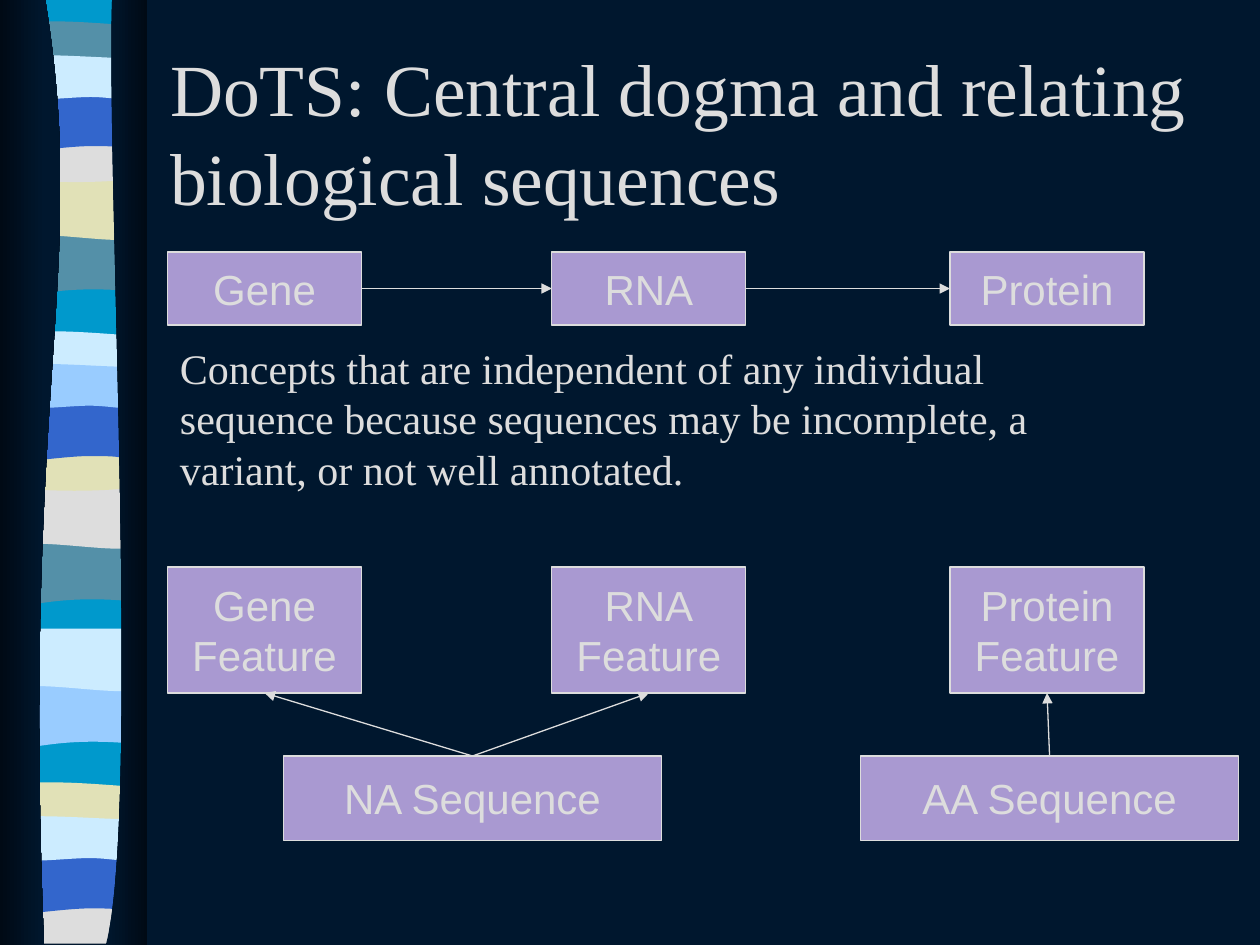
from typing import NamedTuple

from lxml import etree
from pptx import Presentation
from pptx.dml.color import RGBColor
from pptx.enum.shapes import MSO_CONNECTOR, MSO_SHAPE
from pptx.enum.text import MSO_ANCHOR, MSO_AUTO_SIZE, PP_ALIGN
from pptx.oxml.ns import qn
from pptx.util import Inches, Pt

RECT = MSO_SHAPE.RECTANGLE
STRAIGHT = MSO_CONNECTOR.STRAIGHT
MIDDLE, TOP = MSO_ANCHOR.MIDDLE, MSO_ANCHOR.TOP
LEFT, CENTER = PP_ALIGN.LEFT, PP_ALIGN.CENTER
NO_FIT = MSO_AUTO_SIZE.NONE

NAVY, BLACK_NAVY = "00172E", "000A15"
GREY, LILAC = "DDDDDD", "A999D1"
CYAN, TEAL, SAND = "0099CC", "5490A8", "E1E1B7"
ICE, SKY, BLUE = "CCECFF", "99CCFF", "3366CC"
SERIF, SANS = "Times New Roman", "Arial"

# Outlines: a start point, then lines (2 numbers) and cubic curves (6 numbers)
SAG_TOP = [(0, 0), (0.66, 0.05, 0.85, 0, 1.08, 0)]
MOTIFS = {
    "dip": [(1.08, 0), (1.08, 0.47), (0.33, 0.39, 0.18, 0.55, 0, 0.47), (0, 0)],
    "swell": [(1.08, 0), (1.08, 0.47), (0.9, 0.55, 0.33, 0.41, 0, 0.47), (0, 0)],
    "arch": [(1.08, 0.05), (1.08, 0.29), (0.9, 0.33, 0.18, 0.33, 0, 0.29), (0, 0.05),
             (0.06, 0, 0.23, 0.01, 0.41, 0.01), (0.59, 0.01, 0.94, 0.04, 1.08, 0.05)],
    "sag": [(1.08, 0), (1.08, 0.32), (0.9, 0.38, 0.18, 0.38, 0, 0.32), *SAG_TOP],
    "hump": [(1.08, 0), (1.08, 0.47), (0.91, 0.42, 0.84, 0.42, 0.66, 0.42),
             (0.48, 0.42, 0.16, 0.47, 0, 0.47), (0, 0)],
    "drift": [(1.08, 0.05), (1.08, 0.36), (1.01, 0.41, 0.84, 0.36, 0.66, 0.36),
              (0.48, 0.36, 0.11, 0.41, 0, 0.36), (0, 0.05),
              (0.15, 0, 0.73, 0.05, 0.91, 0.05), (1.09, 0.05, 1.04, 0.05, 1.08, 0.05)],
    "foot": [(1.08, 0), (1.08, 0.37), (0, 0.37), *SAG_TOP],
}
LEFT_SHADE = [(0.36, 0), (0.71, 2.16, 0.17, 2.96, 0.35, 7.5), (0, 7.5), (0, 0)]
RIGHT_SHADE = [(0.89, 0), (0.84, 1.25, 1.12, 6.46, 0.84, 7.5), (1.17, 7.5), (1.17, 0)]


class Band(NamedTuple):
    motif: str
    x: float
    y: float
    color: str


class Box(NamedTuple):
    lines: list
    x: float
    y: float
    w: float
    h: float


# Back to front
BANDS = [
    Band("dip", 0.06, 1.85, TEAL), Band("swell", 0.06, 1.41, SAND),
    Band("arch", 0.06, 0.16, TEAL), Band("sag", 0.06, 1.08, GREY),
    Band("hump", 0.06, 0.74, BLUE), Band("drift", 0.06, 0.41, ICE),
    Band("dip", 0.05, 4.31, TEAL), Band("swell", 0.05, 3.86, GREY),
    Band("arch", 0.05, 2.62, ICE), Band("sag", 0.05, 3.53, SAND),
    Band("hump", 0.05, 3.2, BLUE), Band("drift", 0.05, 2.86, SKY),
    Band("dip", 0.06, 5.44, SKY), Band("swell", 0.06, 4.99, ICE),
    Band("arch", 0.05, 6.2, SAND), Band("foot", 0.05, 7.12, GREY),
    Band("hump", 0.05, 6.79, BLUE), Band("drift", 0.05, 6.45, ICE),
]


def rgb(color: str) -> RGBColor:
    return RGBColor.from_string(color)


def add_outline(s, outline: list, x: float = 0, y: float = 0):
    """Draw through the end points, then bend the curved segments."""
    pts = [(Inches(x + seg[-2]), Inches(y + seg[-1])) for seg in outline]
    builder = s.shapes.build_freeform(*pts[0], scale=1.0)
    builder.add_line_segments(pts[1:], close=True)
    sp = builder.convert_to_shape()
    for node, seg in zip(sp._element.findall(".//" + qn("a:lnTo")), outline[1:]):
        if len(seg) == 6:
            node.tag = qn("a:cubicBezTo")
            for i in (0, 1):
                cx, cy = seg[2 * i:2 * i + 2]
                node.insert(i, etree.Element(qn("a:pt"), x=str(Inches(x + cx) - sp.left),
                                             y=str(Inches(y + cy) - sp.top)))
    sp.shadow.inherit = False
    sp.line.fill.background()
    return sp


def add_band(s, band: Band) -> None:
    sp = add_outline(s, MOTIFS[band.motif], band.x, band.y)
    sp.fill.solid()
    sp.fill.fore_color.rgb = rgb(band.color)


def add_shade(s, outline: list, colors: tuple) -> None:
    sp = add_outline(s, outline)
    sp.fill.gradient()
    sp.fill.gradient_angle = 0
    for stop, color in zip(sp.fill.gradient_stops, colors):
        stop.color.rgb = rgb(color)


def write(tf, lines: list, font: str, size: float, align=LEFT, anchor=TOP,
          wrap: bool = True) -> None:
    tf.word_wrap = wrap
    tf.auto_size = NO_FIT
    tf.vertical_anchor = anchor
    p = tf.paragraphs[0]
    p.alignment = align
    for i, line in enumerate(lines):
        if i:
            p.add_line_break()
        r = p.add_run()
        r.text = line
        r.font.name, r.font.size = font, Pt(size)
        r.font.color.rgb = rgb(GREY)


def add_box(s, box: Box):
    sp = s.shapes.add_shape(RECT, *map(Inches, box[1:]))
    sp.shadow.inherit = False
    sp.fill.solid()
    sp.fill.fore_color.rgb = rgb(LILAC)
    sp.line.color.rgb = rgb(GREY)
    sp.line.width = Pt(0.75)
    write(sp.text_frame, box.lines, SANS, 24, CENTER, MIDDLE, wrap=False)
    return sp


def add_arrow(s, start, start_side: int, end, end_side: int) -> None:
    conn = s.shapes.add_connector(STRAIGHT, 0, 0, 0, 0)
    conn.begin_connect(start, start_side)
    conn.end_connect(end, end_side)
    conn.line.color.rgb = rgb(GREY)
    conn.line.width = Pt(0.75)
    etree.SubElement(conn.get_or_add_ln(), qn("a:tailEnd"), type="triangle")
    etree.SubElement(conn._element.spPr, qn("a:effectLst"))


prs = Presentation()
prs.slide_width, prs.slide_height = Inches(10), Inches(7.5)
s = prs.slides.add_slide(prs.slide_layouts[5])
s.background.fill.solid()
s.background.fill.fore_color.rgb = rgb(NAVY)

# Ribbon down the left edge
base = s.shapes.add_shape(RECT, Inches(0.06), 0, Inches(1.08), Inches(7.47))
base.shadow.inherit = False
base.fill.solid()
base.fill.fore_color.rgb = rgb(CYAN)
base.line.fill.background()
for band in BANDS:
    add_band(s, band)
add_shade(s, LEFT_SHADE, (BLACK_NAVY, NAVY))
add_shade(s, RIGHT_SHADE, (NAVY, BLACK_NAVY))

# Title
title = s.shapes.title
title.left, title.top, title.width, title.height = map(Inches, (1.25, 0.42, 9, 1.25))
write(title.text_frame, ["DoTS: Central dogma and relating biological sequences"],
      SERIF, 42, anchor=MIDDLE)

# Concepts above, their features below, in shared columns
COLUMNS = {"Gene": 1.33, "RNA": 4.38, "Protein": 7.54}
gene, rna, protein = [add_box(s, Box([name], x, 2, 1.54, 0.58))
                      for name, x in COLUMNS.items()]
features = [add_box(s, Box([name, "Feature"], x, 4.5, 1.54, 1))
            for name, x in COLUMNS.items()]
na, aa = [add_box(s, Box([name], x, 6, 3, 0.67))
          for name, x in (("NA Sequence", 2.25), ("AA Sequence", 6.83))]

# Arrows
for start, end in ((gene, rna), (rna, protein)):
    add_arrow(s, start, 3, end, 1)
for sequence, feature in zip((na, na, aa), features):
    add_arrow(s, sequence, 0, feature, 2)

# Explanation
note = s.shapes.add_textbox(*map(Inches, (1.33, 2.67, 7.75, 1.3)))
write(note.text_frame, ["Concepts that are independent of any individual sequence because "
                        "sequences may be incomplete, a variant, or not well annotated."],
      SERIF, 24)

prs.save("out.pptx")
